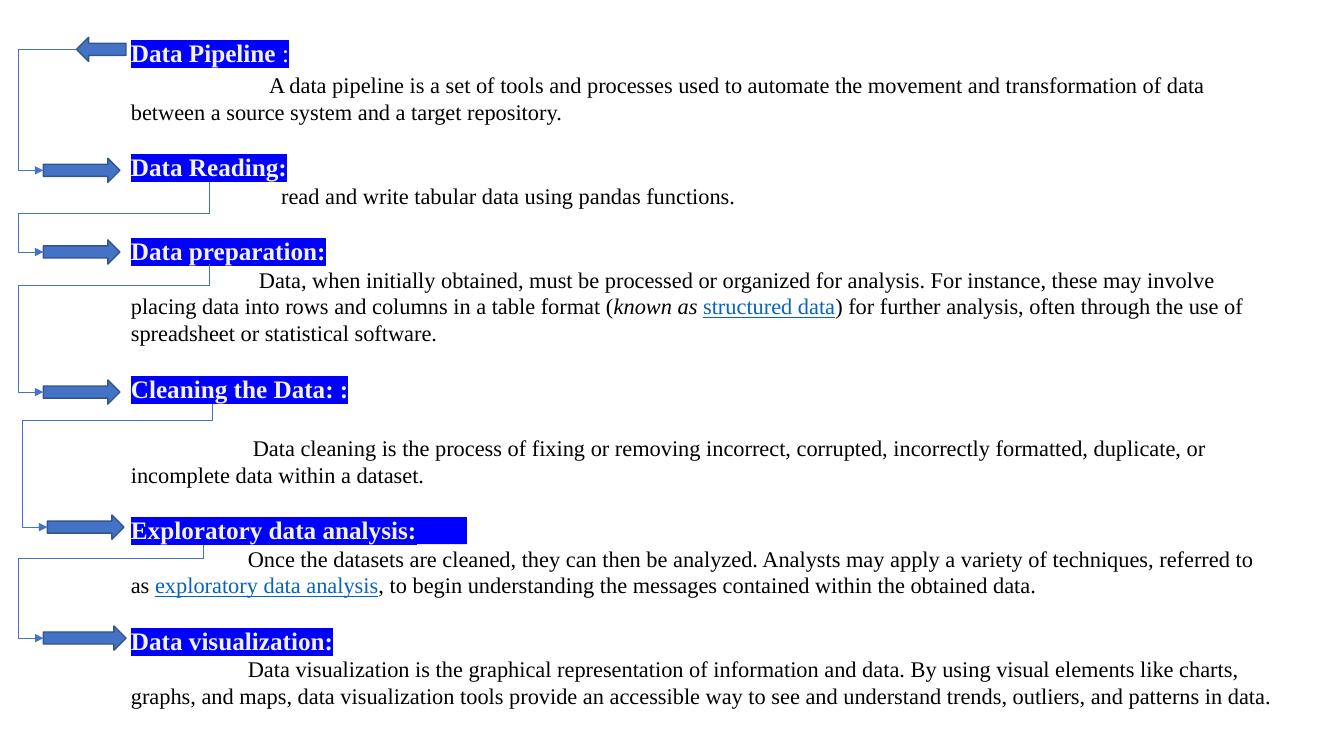
import pptx
import pptx.util
import pptx.dml.color
import pptx.enum.shapes
import pptx.oxml
import pptx.oxml.ns

Inches = pptx.util.Inches
Pt = pptx.util.Pt
qn = pptx.oxml.ns.qn
Shapes = pptx.enum.shapes.MSO_SHAPE
Connectors = pptx.enum.shapes.MSO_CONNECTOR


def color(value):
    return pptx.dml.color.RGBColor.from_string(value)


def add_xml(parent, tag, **attributes):
    element = pptx.oxml.parse_xml(f'<{tag} {pptx.oxml.ns.nsdecls("a")}/>')
    for name, value in attributes.items():
        element.set(name, str(value))
    parent.append(element)
    return element


class Painter:
    blue = "4472C4"
    outline = "325491"
    highlight = "0000FF"
    heading = {"size": Pt(18), "bold": True}
    body = {"size": Pt(16)}
    looks = {
        "plain": ("000000", {}),
        "italic": ("000000", {"italic": True}),
        "link": ("0563C1", {"underline": True}),
    }

    def __init__(self, page):
        self.page = page

    def textbox(self, left, top, width, height):
        box = self.page.shapes.add_textbox(Inches(left), Inches(top), Inches(width), Inches(height))
        box.text_frame.word_wrap = True
        return box.text_frame

    def para(self, frame, before, indent=0):
        para = frame.paragraphs[0] if not frame.paragraphs[0].runs else frame.add_paragraph()
        para.space_before = Pt(before)
        para._p.get_or_add_pPr().set("indent", str(Inches(indent)))
        return para

    def span(self, para, text, tone, values):
        span = para.add_run()
        span.text = text
        for name, value in {"name": "Times New Roman", **values}.items():
            setattr(span.font, name, value)
        span.font.color.rgb = color(tone)
        return span

    def heading_span(self, para, text, **changes):
        span = self.span(para, text, "F2F2F2", {**self.heading, **changes})
        properties = span.font._element
        mark = add_xml(properties, "a:highlight")
        add_xml(mark, "a:srgbClr", val=self.highlight)
        properties.find(qn("a:solidFill")).addnext(mark)

    def body_span(self, para, text, look="plain"):
        tone, values = self.looks[look]
        self.span(para, text, tone, {**self.body, **values})

    def shape(self, kind, left, top, width, height, fill):
        shape = self.page.shapes.add_shape(kind, *map(Inches, (left, top, width, height)))
        shape.shadow.inherit = False
        shape.fill.solid()
        shape.fill.fore_color.rgb = color(fill)
        return shape

    def highlight_bar(self, left, top, width, height):
        bar = self.shape(Shapes.RECTANGLE, left, top, width, height, self.highlight)
        bar.line.fill.background()

    def arrow(self, left, top, width, flipped=False):
        arrow = self.shape(Shapes.RIGHT_ARROW, left, top, width, 0.24, self.blue)
        arrow.line.color.rgb = color(self.outline)
        arrow.line.width = Pt(1)
        if flipped:
            arrow._element.spPr.xfrm.set("flipH", "1")

    def line(self, kind, start, end):
        line = self.page.shapes.add_connector(kind, *map(Inches, start + end))
        line.line.color.rgb = color(self.blue)
        line.line.width = Pt(0.5)
        add_xml(line._element.spPr, "a:effectLst")
        return line

    def stem(self, x, bottom, top):
        self.line(Connectors.STRAIGHT, (x, bottom), (x, top))

    def elbow(self, start, end):
        line = self.line(Connectors.ELBOW, start, end)
        bend = (start[0] - end[0] + 0.25) / (start[0] - end[0])
        guides = line._element.spPr.find(qn("a:prstGeom")).get_or_add_avLst()
        add_xml(guides, "a:gd", name="adj1", fmla=f"val {round(bend * 100000)}")
        add_xml(line.line._get_or_add_ln(), "a:tailEnd", type="triangle")


STAGES = [
    ("Data Pipeline ", 1.37, 2.5, [
        ("A data pipeline is a set of tools and processes used to automate the movement and "
         "transformation of data between a source system and a target repository.", "plain")]),
    ("Data Reading:", 1.49, 0, [
        ("read and write tabular data using pandas functions.", "plain")]),
    ("Data preparation:", 1.27, 0, [
        ("Data, when initially obtained, must be processed or organized for analysis. For instance, "
         "these may involve placing data into rows and columns in a table format (", "plain"),
        ("known as ", "italic"),
        ("structured data", "link"),
        (") for further analysis, often through the use of spreadsheet or statistical software.",
         "plain")]),
    ("Cleaning the Data: :", 1.21, 21.7, [
        ("Data cleaning is the process of fixing or removing incorrect, corrupted, incorrectly "
         "formatted, duplicate, or incomplete data within a dataset.", "plain")]),
    ("Exploratory data analysis:", 1.16, 0, [
        ("Once the datasets are cleaned, they can then be analyzed. Analysts may apply a variety "
         "of techniques, referred to as ", "plain"),
        ("exploratory data analysis", "link"),
        (", to begin understanding the messages contained within the obtained data.", "plain")]),
    ("Data visualization:", 1.16, 0, [
        ("Data visualization is the graphical representation of information and data. By using "
         "visual elements like charts, graphs, and maps, data visualization tools provide an "
         "accessible way to see and understand trends, outliers, and patterns in data.", "plain")]),
]

STEPS = [
    ((0.43, 1.57, 0.76), (0.76, 0.49), None),
    ((0.43, 2.38, 0.76), (2.08, 2.12), 1.81),
    ((0.43, 3.77, 0.76), (2.08, 2.83), 2.62),
    ((0.47, 5.11, 0.76), (2.11, 4.17), 4.01),
    ((0.43, 6.21, 0.82), (2.02, 5.54), 5.41),
]


def main():
    deck = pptx.Presentation()
    deck.slide_width = Inches(13.33)
    deck.slide_height = Inches(7.5)
    page = deck.slides.add_slide(deck.slide_layouts[6])
    painter = Painter(page)

    frame = painter.textbox(1.2, 0.32, 11.56, 6.9)
    for number, (heading, indent, gap, pieces) in enumerate(STAGES):
        para = painter.para(frame, 19.2 if number else 0)
        painter.heading_span(para, heading)
        if number == 0:
            painter.heading_span(para, ":", bold=False)
        para = painter.para(frame, gap, indent)
        for text, look in pieces:
            painter.body_span(para, text, look)

    painter.highlight_bar(4.12, 5.13, 0.51, 0.27)
    painter.arrow(0.76, 0.37, 0.49, flipped=True)
    for (left, top, width), start, stem_top in STEPS:
        painter.arrow(left, top, width)
        painter.elbow(start, (left, top + 0.12))
        if stem_top:
            painter.stem(*start, stem_top)

    deck.save("out.pptx")


if __name__ == "__main__":
    main()
